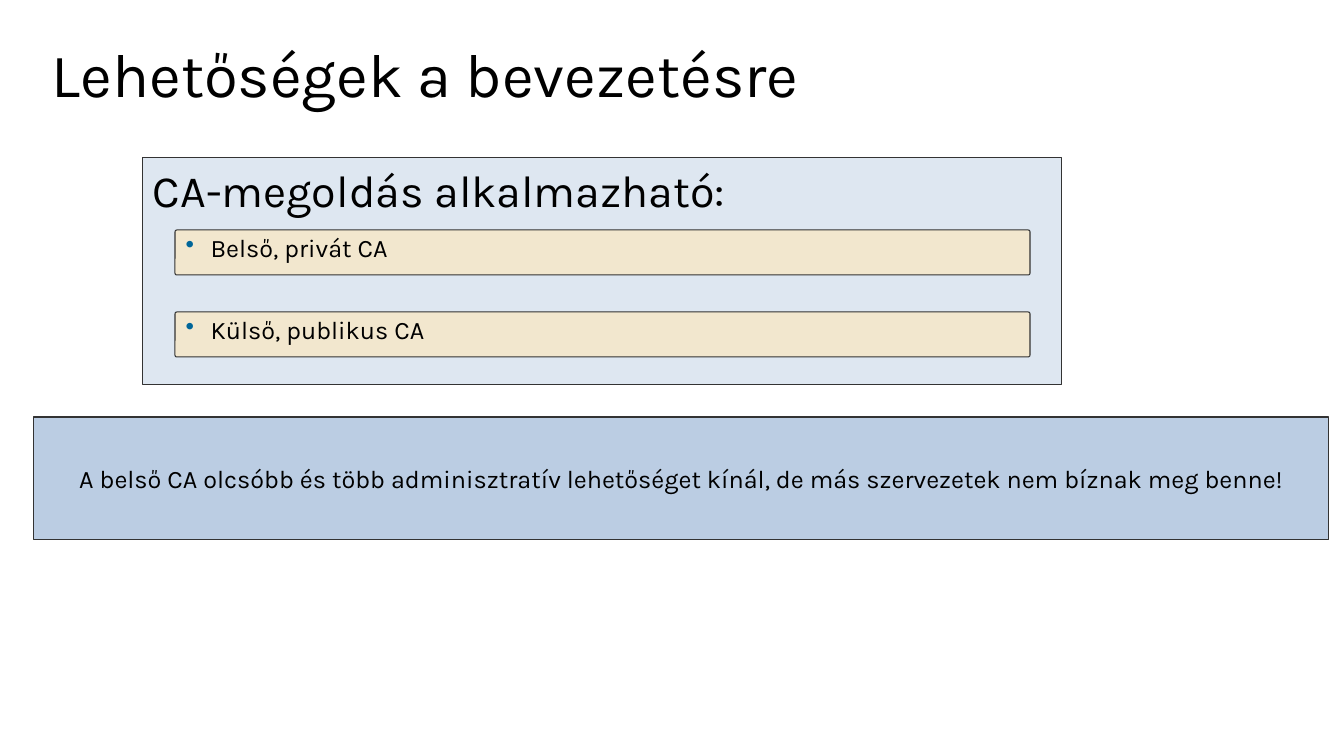
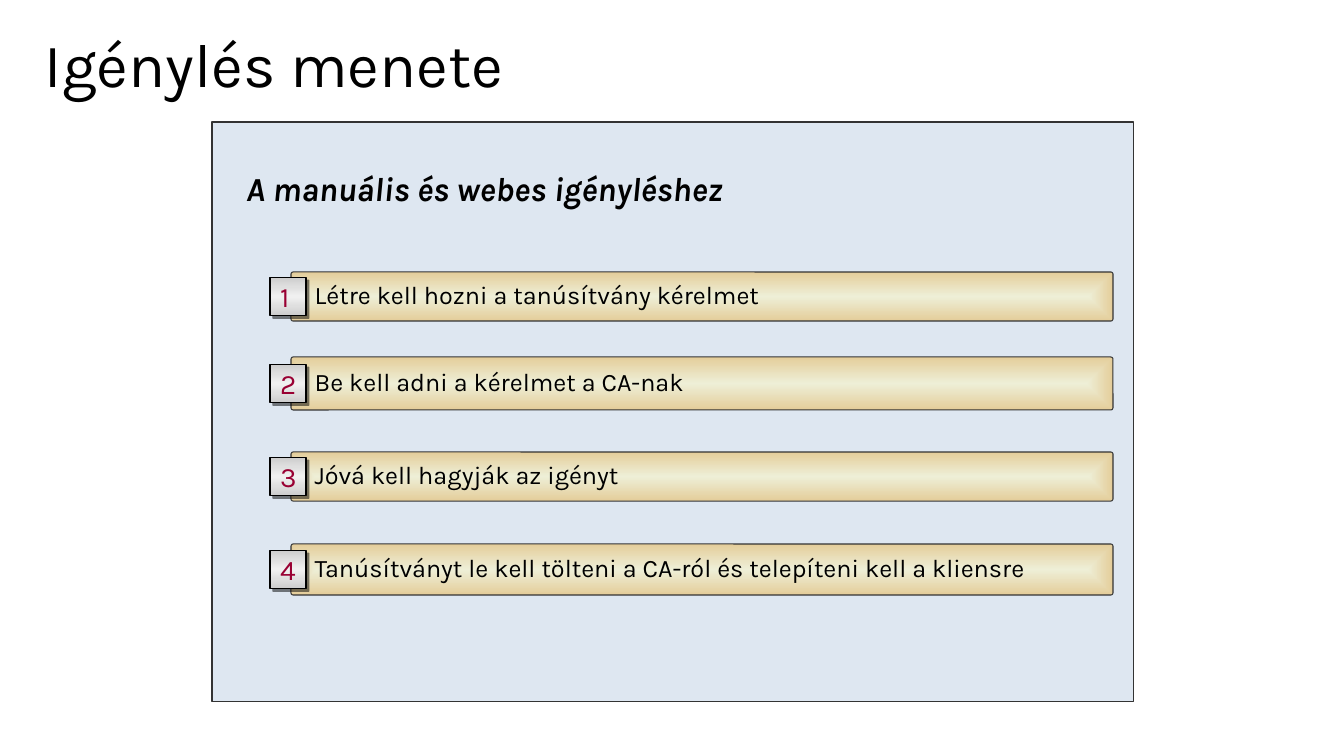
from lxml.etree import fromstring
from pptx import Presentation
from pptx.dml.color import RGBColor
from pptx.enum.shapes import MSO_AUTO_SHAPE_TYPE as Shape
from pptx.enum.text import MSO_VERTICAL_ANCHOR as Anchor, PP_PARAGRAPH_ALIGNMENT as Align
from pptx.oxml import parse_xml
from pptx.oxml.ns import nsdecls, qn
from pptx.util import Emu, Pt

PX = 914400 / 100.8
FONT = "Karla"
COLORS = {
    "text": "000000",
    "panel": "DEE7F1",
    "note": "BBCDE3",
    "option": "F2E7CE",
    "border": "333333",
    "bullet": "006699",
    "number": "990033",
    "step_center": "EEEFD7",
    "step_edge": "E4CD9A",
    "badge_center": "F0F0F0",
    "badge_edge": "CECECE",
}
STEP_PATH = '<a:path path="shape"><a:fillToRect l="50000" t="50000" r="50000" b="50000"/></a:path>'
BADGE_ANGLE = '<a:lin ang="5400000" scaled="0"/>'


def px(value):
    return Emu(round(value * PX))


def color(name):
    return RGBColor.from_string(COLORS[name])


def write(box, text, size, ink="text", anchor=Anchor.TOP, align=Align.LEFT,
          spacing=1.0, insets=(10, 5, 10, 5), bold=False, italic=False):
    frame = box.text_frame
    frame.word_wrap = True
    frame.vertical_anchor = anchor
    frame.margin_left, frame.margin_top, frame.margin_right, frame.margin_bottom = map(px, insets)
    para = frame.paragraphs[0]
    para.alignment = align
    para.line_spacing = spacing
    span = para.add_run()
    span.text = text
    span.font.name = FONT
    span.font.size = Pt(size)
    span.font.bold = bold
    span.font.italic = italic
    span.font.color.rgb = color(ink)
    return para


def add_box(page, area, fill=None, line="border", radius=None):
    kind = Shape.RECTANGLE if radius is None else Shape.ROUNDED_RECTANGLE
    box = page.shapes.add_shape(kind, *map(px, area))
    if radius is not None:
        box.adjustments[0] = radius
    box.shadow.inherit = False
    box.line.color.rgb = color(line)
    box.line.width = Pt(0.75)
    if fill:
        box.fill.solid()
        box.fill.fore_color.rgb = color(fill)
    return box


def fill_gradient(box, stops, direction):
    marks = "".join(
        f'<a:gs pos="{place * 1000}"><a:srgbClr val="{COLORS[name]}"/></a:gs>'
        for place, name in stops
    )
    gradient = parse_xml(
        f'<a:gradFill {nsdecls("a")} rotWithShape="1"><a:gsLst>{marks}</a:gsLst>{direction}</a:gradFill>'
    )
    box._element.spPr.find(qn("a:prstGeom")).addnext(gradient)


def cast_shadow(box):
    shadow = fromstring(
        f'<a:outerShdw {nsdecls("a")} blurRad="0" dist="35560" dir="2700000" algn="ctr" rotWithShape="0">'
        '<a:srgbClr val="000000"><a:alpha val="50000"/></a:srgbClr></a:outerShdw>'
    )
    box._element.spPr.find(qn("a:effectLst")).append(shadow)


def add_bullet(para):
    properties = para._p.get_or_add_pPr()
    properties.set("marL", str(px(25)))
    properties.set("indent", str(-px(25)))
    for markup in (
        f'<a:buClr {nsdecls("a")}><a:srgbClr val="{COLORS["bullet"]}"/></a:buClr>',
        f'<a:buChar {nsdecls("a")} char="•"/>',
    ):
        properties.append(parse_xml(markup))


def add_title(page, left, top, text):
    box = page.shapes.add_textbox(px(left), px(top), px(1270), px(93))
    write(box, text, 44, spacing=0.8)


def add_options(page, area, heading, options):
    left, top, width, height = area
    write(add_box(page, area, "panel"), heading, 32)
    for index, option in enumerate(options):
        row = (left + 32, top + 72 + index * 82, width - 64, 45)
        add_bullet(write(add_box(page, row, "option", radius=0.042), option, 18, spacing=0.9))


def add_note(page, area, text):
    write(add_box(page, area, "note"), text, 18, anchor=Anchor.MIDDLE, align=Align.CENTER)


def add_step(page, area, number, text):
    left, top, width, height = area
    bar = add_box(page, area, radius=0.042)
    fill_gradient(bar, [(0, "step_center"), (100, "step_edge")], STEP_PATH)
    write(bar, text, 18, anchor=Anchor.MIDDLE, spacing=0.9, insets=(23, 5, 10, 5))

    side = 38
    badge = add_box(page, (left - 21, top + (height - side) / 2, 36, side), line="text", radius=0)
    fill_gradient(badge, [(0, "badge_edge"), (50, "badge_center"), (100, "badge_edge")], BADGE_ANGLE)
    cast_shadow(badge)
    write(badge, str(number), 20, "number", Anchor.MIDDLE, insets=(10, 5, 0, 5))


def add_steps(page, area, heading, steps):
    left, top, width, height = area
    panel = add_box(page, area, "panel")
    write(panel, heading, 24, insets=(34, 46, 10, 5), bold=True, italic=True)
    for number, (offset, bar_height, text) in enumerate(steps, 1):
        add_step(page, (left + 79, top + offset, width - 100, bar_height), number, text)


def main():
    deck = Presentation()
    deck.slide_width, deck.slide_height = px(1344), px(756)
    blank = deck.slide_layouts[6]

    page = deck.slides.add_slide(blank)
    add_title(page, 42, 45, "Lehetőségek a bevezetésre")
    add_options(page, (143, 158, 919, 227), "CA-megoldás alkalmazható:",
                ["Belső, privát CA", "Külső, publikus CA"])
    add_note(page, (34, 417, 1295, 123),
             "A belső CA olcsóbb és több adminisztratív lehetőséget kínál, "
             "de más szervezetek nem bíznak meg benne!")

    page = deck.slides.add_slide(blank)
    add_title(page, 35, 35, "Igénylés menete")
    add_steps(page, (212, 122, 922, 580), "A manuális és webes igényléshez", [
        (150, 49, "Létre kell hozni a tanúsítvány kérelmet"),
        (235, 53, "Be kell adni a kérelmet a CA-nak"),
        (330, 49, "Jóvá kell hagyják az igényt"),
        (422, 51, "Tanúsítványt le kell tölteni a CA-ról és telepíteni kell a kliensre"),
    ])

    deck.save("out.pptx")


if __name__ == "__main__":
    main()
